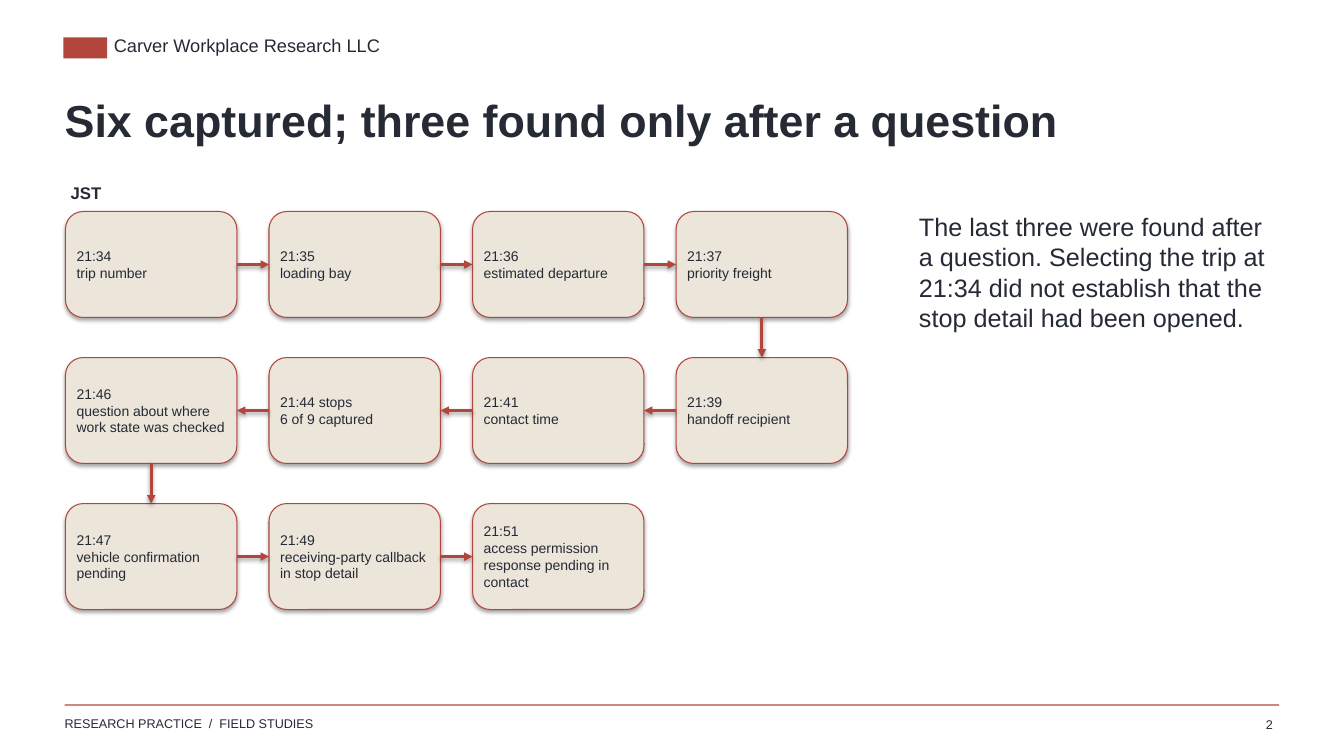
from lxml import etree
from pptx import Presentation
from pptx.dml.color import RGBColor
from pptx.enum.shapes import MSO_CONNECTOR, MSO_SHAPE
from pptx.enum.text import MSO_ANCHOR, PP_ALIGN
from pptx.oxml.ns import qn
from pptx.util import Cm, Pt

RECT = MSO_SHAPE.RECTANGLE
ROUND = MSO_SHAPE.ROUNDED_RECTANGLE
STRAIGHT = MSO_CONNECTOR.STRAIGHT
TOP, MIDDLE = MSO_ANCHOR.TOP, MSO_ANCHOR.MIDDLE
LEFT, RIGHT = PP_ALIGN.LEFT, PP_ALIGN.RIGHT

NORTH, WEST, SOUTH, EAST = range(4)
INK, RED, SAND = "252A35", "B3463C", "ECE5DA"

STEPS = [
    "21:34\ntrip number",
    "21:35\nloading bay",
    "21:36\nestimated departure",
    "21:37\npriority freight",
    "21:39\nhandoff recipient",
    "21:41\ncontact time",
    "21:44 stops\n6 of 9 captured",
    "21:46\nquestion about where work state was checked",
    "21:47\nvehicle confirmation pending",
    "21:49\nreceiving-party callback in stop detail",
    "21:51\naccess permission response pending in contact",
]
COLS = 4


def color(code):
    return RGBColor.from_string(code)


class Board:
    def __init__(self, slide, font="Arial"):
        self.slide = slide
        self.shapes = slide.shapes
        self.font = font

    def letter(self, shape, text, size, bold=False, align=LEFT,
               anchor=TOP, pads=(0, 0, 0, 0.13), wrap=True):
        frame = shape.text_frame
        frame.text = text
        frame.word_wrap = wrap
        frame.vertical_anchor = anchor
        (frame.margin_left, frame.margin_top,
         frame.margin_right, frame.margin_bottom) = map(Cm, pads)
        for para in frame.paragraphs:
            para.alignment = align
            para.space_before = Pt(0)
            for run in para.runs:
                run.font.name = self.font
                run.font.size = Pt(size)
                run.font.bold = bold
                run.font.color.rgb = color(INK)

    def shade(self, shape, alpha, gap):
        props = shape._element.spPr
        effects = props.find(qn("a:effectLst"))
        if effects is None:
            effects = etree.SubElement(props, qn("a:effectLst"))
        outer = etree.SubElement(
            effects, qn("a:outerShdw"), blurRad=str(Pt(3.1)),
            dist=str(Pt(gap)), dir="5400000", rotWithShape="0")
        black = etree.SubElement(outer, qn("a:srgbClr"), val="000000")
        etree.SubElement(black, qn("a:alpha"), val=str(alpha * 1000))

    def title(self, text, *place):
        title = self.shapes.title
        title.left, title.top, title.width, title.height = map(Cm, place)
        self.letter(title, text, 32, bold=True)

    def label(self, text, size, *place, **style):
        box = self.shapes.add_textbox(*map(Cm, place))
        self.letter(box, text, size, **style)

    def bar(self, *place):
        bar = self.shapes.add_shape(RECT, *map(Cm, place))
        bar.shadow.inherit = False
        bar.fill.solid()
        bar.fill.fore_color.rgb = color(RED)
        bar.line.fill.background()

    def step(self, text, *place):
        card = self.shapes.add_shape(ROUND, *map(Cm, place))
        card.shadow.inherit = False
        card.fill.solid()
        card.fill.fore_color.rgb = color(SAND)
        card.line.color.rgb = color(RED)
        card.line.width = Pt(0.75)
        self.shade(card, 35, 1.8)
        self.letter(card, text, 10, anchor=MIDDLE,
                    pads=(0.15, 0.13, 0.15, 0.13))
        return card

    def arrow(self, start, out, end, into):
        link = self.shapes.add_connector(STRAIGHT, 0, 0, 0, 0)
        link.begin_connect(start, out)
        link.end_connect(end, into)
        link.line.color.rgb = color(RED)
        link.line.width = Pt(2)
        etree.SubElement(link.line._ln, qn("a:tailEnd"), type="triangle")
        self.shade(link, 38, 1.6)

    def flow(self, steps):
        cards = []
        for i, text in enumerate(steps):
            row, col = divmod(i, COLS)
            if row % 2:
                col = COLS - 1 - col
            cards.append(self.step(text, 1.65 + 5.13 * col,
                                   5.33 + 3.68 * row, 4.32, 2.67))
        for i, (start, end) in enumerate(zip(cards, cards[1:])):
            if i % COLS == COLS - 1:
                self.arrow(start, SOUTH, end, NORTH)
            elif i // COLS % 2:
                self.arrow(start, WEST, end, EAST)
            else:
                self.arrow(start, EAST, end, WEST)


def main():
    deck = Presentation()
    deck.slide_width, deck.slide_height = Cm(33.87), Cm(19.05)
    board = Board(deck.slides.add_slide(deck.slide_layouts[5]))
    small = (0.13, 0.08, 0.13, 0.08)

    board.bar(1.6, 0.94, 1.1, 0.53)
    board.label("Carver Workplace Research LLC", 13,
                2.87, 0.86, 13.97, 0.76, wrap=False)
    board.bar(1.63, 17.75, 30.61, 0.03)
    board.label("RESEARCH PRACTICE  /  FIELD STUDIES", 9,
                1.63, 18.03, 13.97, 0.61, wrap=False)
    board.title("Six captured; three found only after a question",
                1.63, 2.34, 30.48, 2.54)
    board.label("The last three were found after a question. Selecting the "
                "trip at 21:34 did not establish that the stop detail had "
                "been opened.", 18, 23.16, 5.33, 8.84, 11.15)
    board.label("2", 9, 30.81, 17.98, 1.4, 0.58, align=RIGHT, pads=small)
    board.label("JST", 12, 1.65, 4.52, 2.54, 0.64, bold=True, pads=small)
    board.flow(STEPS)
    deck.save("out.pptx")


if __name__ == "__main__":
    main()
